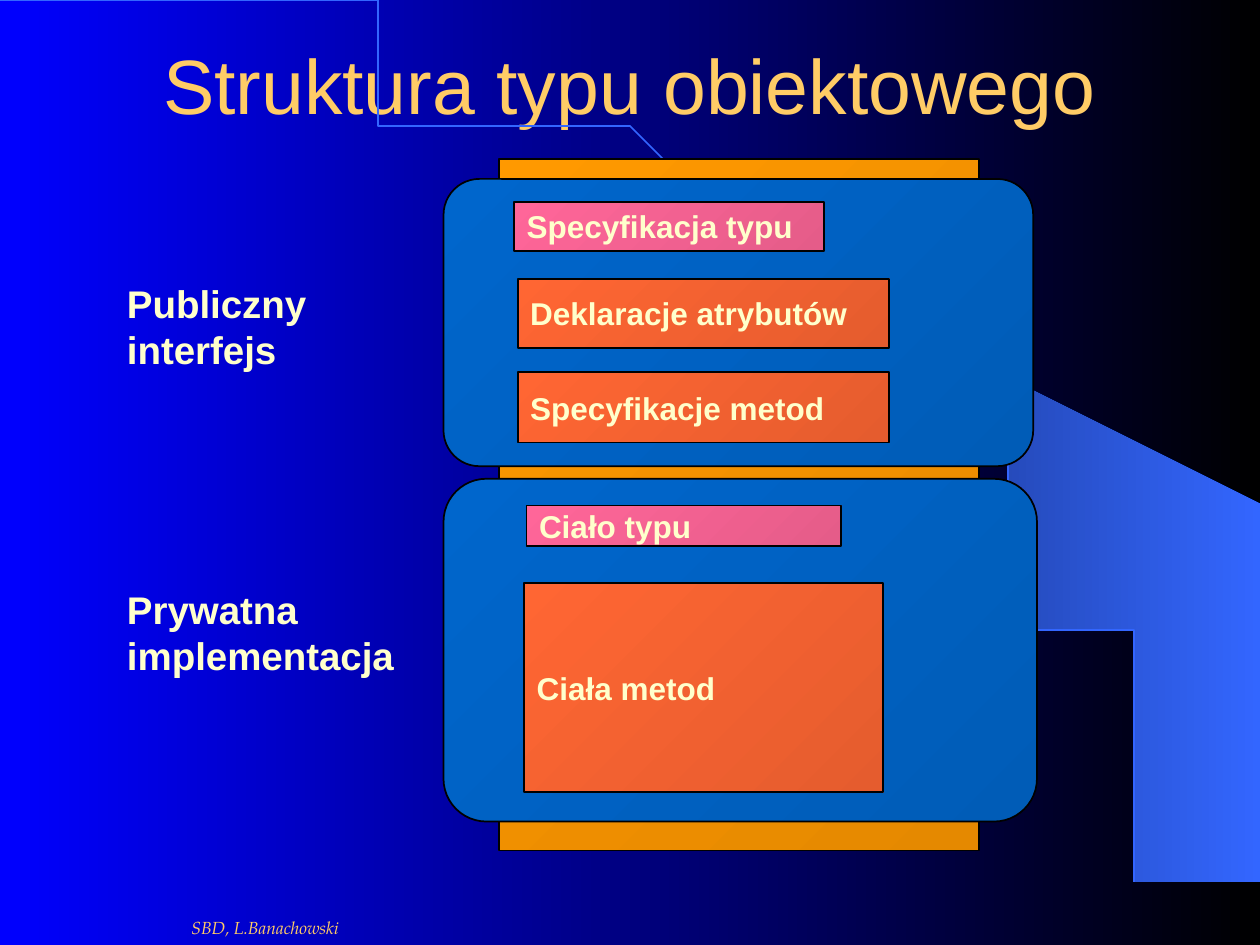
from math import asin, cos, pi, sin

from pptx import Presentation
from pptx.dml.color import RGBColor
from pptx.enum.shapes import MSO_SHAPE
from pptx.enum.text import MSO_ANCHOR, PP_ALIGN
from pptx.util import Inches, Pt

RECT, ROUND = MSO_SHAPE.RECTANGLE, MSO_SHAPE.ROUNDED_RECTANGLE
TOP, MIDDLE = MSO_ANCHOR.TOP, MSO_ANCHOR.MIDDLE
LEFT, CENTER = PP_ALIGN.LEFT, PP_ALIGN.CENTER
WIDE, HIGH = 10, 7.5
SANS, SERIF = "Arial", "TeX Gyre Pagella"
HEX = {
    "night": ("0000FF", "000000"),
    "beam": ("182F76", "3366FF"),
    "band": ("FF9900", "E58900"),
    "panel": ("0066CC", "005CB7"),
    "head": ("FF6699", "E55C89"),
    "part": ("FF6633", "E55C2E"),
    "arc": "3366FF",
    "edge": "000000",
    "gold": "FFCC66",
    "cream": "FFFFCC",
}


def color(code):
    return RGBColor.from_string(code)


def blend(fill, name, angle=0):
    fill.gradient()
    fill.gradient_angle = angle
    for stop, code in zip(fill.gradient_stops, HEX[name]):
        stop.color.rgb = color(code)


def inner(box, share):
    x, y, w, h = box
    a, b, c, d = (n / 100 for n in share)
    return x + a * w, y + b * h, c * w, d * h


def write(shape, text, size, tint, font=SANS, bold=False, italic=False,
          anchor=MIDDLE, align=LEFT):
    frame = shape.text_frame
    frame.text = text
    frame.word_wrap = True
    frame.vertical_anchor = anchor
    for para in frame.paragraphs:
        para.alignment = align
        for run in para.runs:
            run.font.name, run.font.size = font, Pt(size)
            run.font.bold, run.font.italic = bold, italic
            run.font.color.rgb = color(HEX[tint])


def block(slide, kind, box, name):
    shape = slide.shapes.add_shape(kind, *map(Inches, box))
    shape.shadow.inherit = False
    blend(shape.fill, name, 315)
    shape.line.color.rgb = color(HEX["edge"])
    shape.line.width = Pt(1)
    return shape


def label(slide, box, text, size, tint, **look):
    shape = slide.shapes.add_textbox(*map(Inches, box))
    write(shape, text, size, tint, anchor=TOP, **look)


def panel(slide, box, items):
    block(slide, ROUND, box, "panel").adjustments[0] = 0.125
    for name, text, share in items:
        shape = block(slide, RECT, inner(box, share), name)
        write(shape, text, 18, "cream", bold=True)


def curve(box, start, steps):
    x, y, w, h = box
    turns = (start + (pi / 2 - start) * i / steps for i in range(steps + 1))
    return [(x + w * sin(t), y + h * (1 - cos(t))) for t in turns]


def outline(slide, points, close):
    build = slide.shapes.build_freeform(*points[0], scale=Inches(1))
    build.add_line_segments(points[1:], close=close)
    shape = build.convert_to_shape()
    shape.shadow.inherit = False
    return shape


def backdrop(slide, box):
    blend(slide.background.fill, "night")
    oval = inner(box, (0, 0, 92, 99.8))
    corner = [(9.99, 7.49), (9.99, 4.23)]
    beam = outline(slide, curve(oval, asin(0.64), 24) + corner, True)
    blend(beam.fill, "beam")
    beam.line.fill.background()
    arc = outline(slide, curve(oval, 0, 90), False)
    arc.fill.background()
    arc.line.color.rgb = color(HEX["arc"])
    arc.line.width = Pt(1)


def heading(slide, box, text):
    title = slide.shapes.title
    title.left, title.top, title.width, title.height = map(Inches, box)
    write(title, text, 44, "gold", align=CENTER)


def diagram(slide, box):
    block(slide, RECT, box, "band")
    x, y, w, h = box
    left = x - 0.44
    panel(slide, (left, y + 0.16, 4.68, 2.28), [
        ("head", "Specyfikacja typu", (12, 8, 52.5, 17)),
        ("part", "Deklaracje atrybutów", (12.6, 34.8, 63, 24)),
        ("part", "Specyfikacje metod", (12.6, 67.3, 63, 24.5)),
    ])
    panel(slide, (left, y + 2.54, 4.71, 2.72), [
        ("head", "Ciało typu", (14, 7.8, 53, 11.8)),
        ("part", "Ciała metod", (13.6, 30.5, 60.5, 61)),
    ])


def main():
    deck = Presentation()
    deck.slide_width, deck.slide_height = Inches(WIDE), Inches(HIGH)
    slide = deck.slides.add_slide(deck.slide_layouts[5])
    page = (0, 0, WIDE, HIGH)
    backdrop(slide, page)
    heading(slide, (0.75, 0.25, 8.5, 0.83), "Struktura typu obiektowego")
    label(slide, (1.42, 7.23, 5.75, 0.27), "SBD, L.Banachowski", 10, "gold",
          font=SERIF, italic=True)
    diagram(slide, (3.96, 1.26, 3.81, 5.49))
    label(slide, (0.91, 2.17, 1.63, 0.83), "Publiczny\ninterfejs", 22,
          "cream", bold=True)
    label(slide, (0.91, 4.6, 2.57, 0.83), "Prywatna implementacja", 22,
          "cream", bold=True)
    deck.save("out.pptx")


if __name__ == "__main__":
    main()
